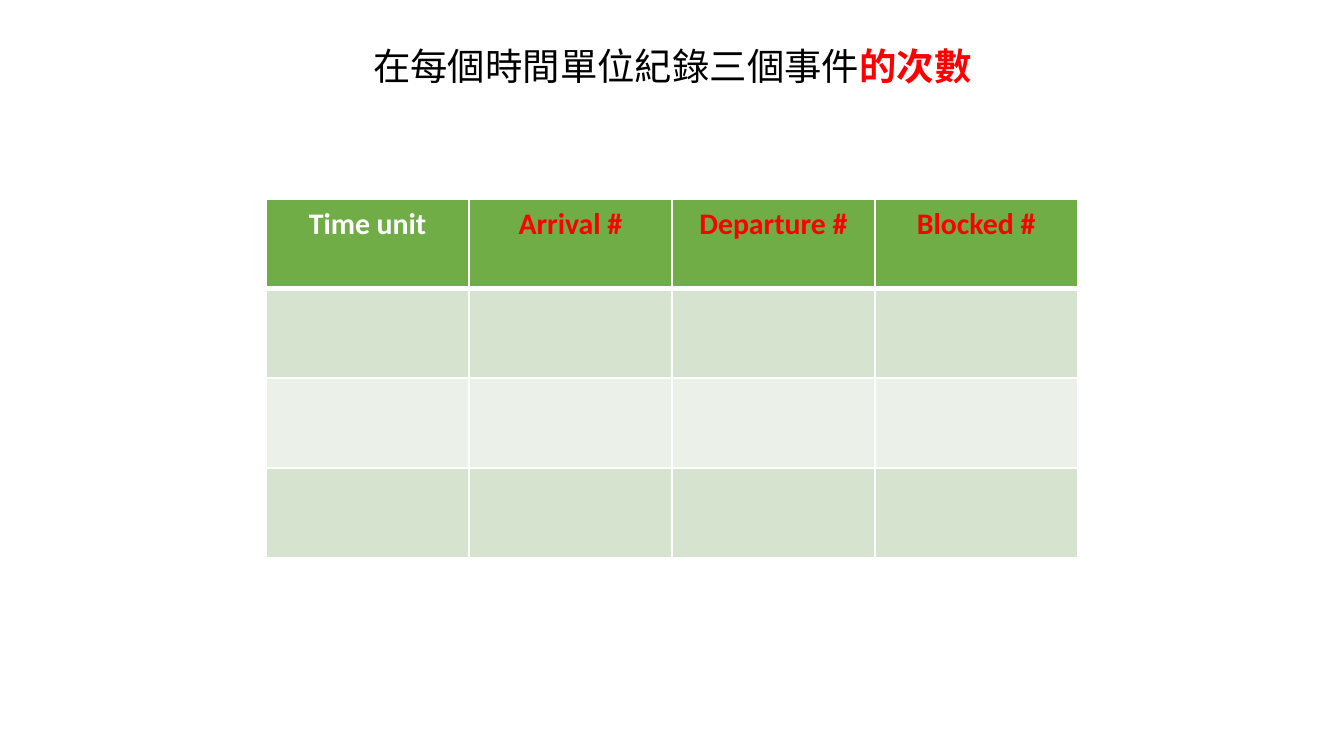
from lxml import etree
from pptx import Presentation
from pptx import util as u
from pptx.dml import color
from pptx.enum import text
from pptx.oxml import ns

Pt = u.Pt
WHITE, RED, BLACK, GREEN = "FFFFFF", "FF0000", "000000", "70AD47"
BANDS = ["D5E3CF", "EBF1E9"]
HEADS = ["Time unit", "Arrival #", "Departure #", "Blocked #"]


def paint(code):
    return color.RGBColor.from_string(code)


def write(para, words, size=16, font="Calibri", ink=BLACK, bold=False):
    """Add a centred run with its format."""
    para.alignment = text.PP_ALIGN.CENTER
    run = para.add_run()
    run.text = words
    face = run.font
    face.size, face.name, face.bold = Pt(size), font, bold
    face.color.rgb = paint(ink)
    east = etree.SubElement(run._r.get_or_add_rPr(), ns.qn("a:ea"))
    east.set("typeface", font)


class Deck:
    cjk = "Noto Sans CJK SC"

    def __init__(self, wide, high):
        self.show = Presentation()
        self.show.slide_width, self.show.slide_height = Pt(wide), Pt(high)
        self.slide = self.show.slides.add_slide(self.show.slide_layouts[5])

    def title(self, parts, left, top, wide, high):
        box = self.slide.shapes.title
        box.left, box.top, box.width, box.height = map(Pt, (left, top, wide, high))
        frame = box.text_frame
        frame.word_wrap = False
        frame.auto_size = text.MSO_AUTO_SIZE.SHAPE_TO_FIT_TEXT
        frame.vertical_anchor = text.MSO_ANCHOR.MIDDLE
        for words, form in parts:
            write(frame.paragraphs[0], words, size=20, font=self.cjk, **form)

    def edge(self, cell, sides):
        """Draw white cell borders; sides maps L, R, T, B to points."""
        props = cell._tc.get_or_add_tcPr()
        for spot, (side, width) in enumerate(sides.items()):
            line = etree.Element(ns.qn("a:ln" + side), w=str(Pt(width)))
            fill = etree.SubElement(line, ns.qn("a:solidFill"))
            etree.SubElement(fill, ns.qn("a:srgbClr"), val=WHITE)
            props.insert(spot, line)

    def table(self, heads, rows, left, top, wide, high):
        grid = self.slide.shapes.add_table(
            rows, len(heads), Pt(left), Pt(top), Pt(wide), Pt(high)).table
        for row in range(rows):
            for col, head in enumerate(heads):
                cell = grid.cell(row, col)
                cell.fill.solid()
                cell.fill.fore_color.rgb = paint(BANDS[(row - 1) % 2] if row else GREEN)
                # A thick rule parts the header from the body
                self.edge(cell, {"L": 1, "R": 1, "T": 3 if row == 1 else 1,
                                 "B": 1 if row else 3})
                if row == 0:
                    write(cell.text_frame.paragraphs[0], head,
                          ink=RED if col else WHITE, bold=True)


def main():
    deck = Deck(720, 405)
    # Heading
    deck.title([("在每個時間單位紀錄三個事件", {}),
                ("的次數", {"ink": RED, "bold": True})], 191.5, 19.5, 337.5, 31.5)
    # Count table
    deck.table(HEADS, 4, 142.6, 106.6, 434.8, 192)
    deck.show.save("out.pptx")


if __name__ == "__main__":
    main()
